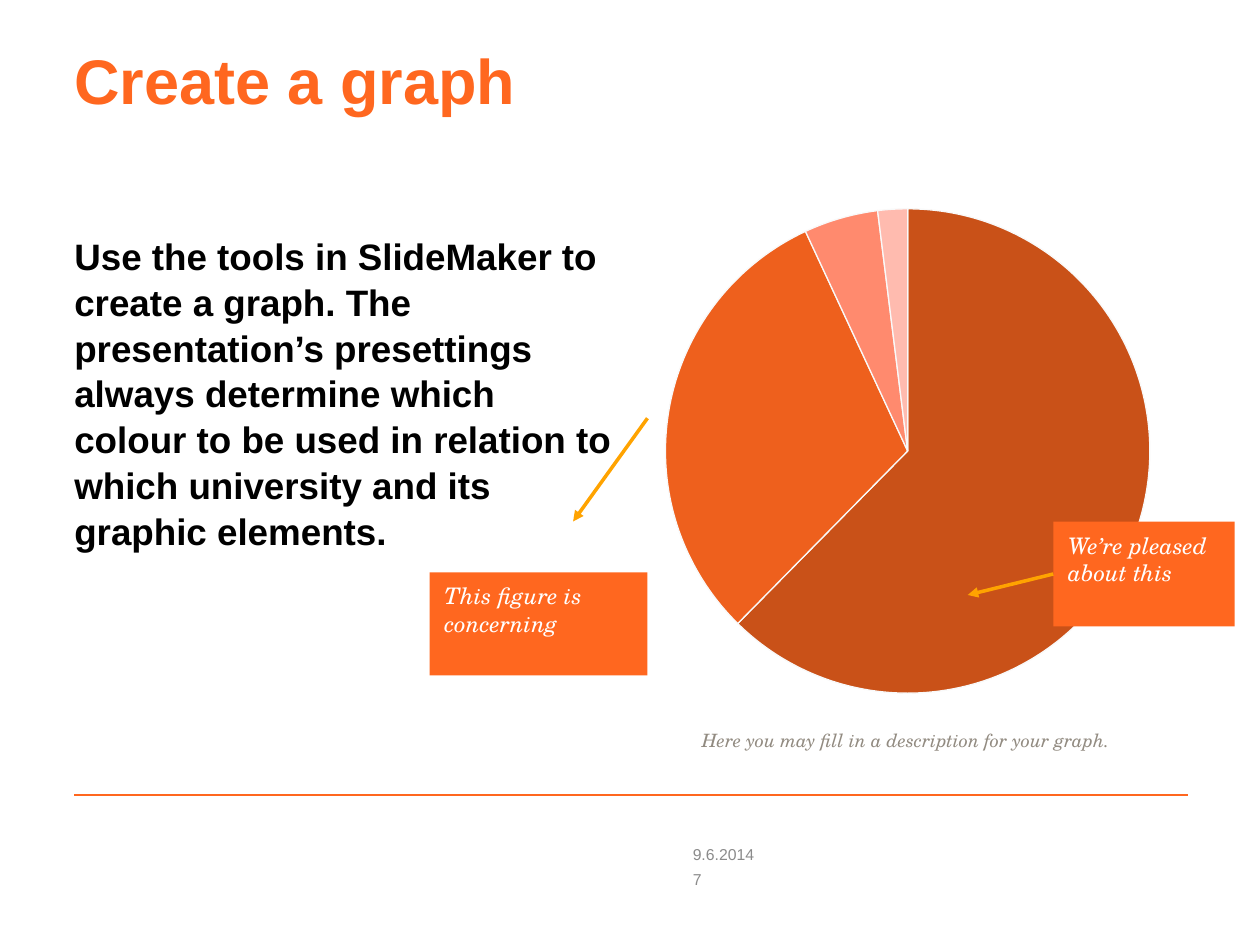
from lxml.etree import SubElement
from pptx import Presentation
from pptx.chart.data import CategoryChartData
from pptx.dml.color import RGBColor
from pptx.enum.chart import XL_CHART_TYPE
from pptx.enum.shapes import MSO_CONNECTOR, MSO_SHAPE
from pptx.enum.text import MSO_ANCHOR, PP_ALIGN
from pptx.oxml import parse_xml
from pptx.oxml.ns import nsdecls, qn
from pptx.util import Pt

ORANGE = RGBColor(0xFF, 0x67, 0x1F)
AMBER = RGBColor(0xFF, 0xA3, 0x00)
BLACK = RGBColor(0x00, 0x00, 0x00)
WHITE = RGBColor(0xFF, 0xFF, 0xFF)
GREY = RGBColor(0x8B, 0x8B, 0x8B)
TAUPE = RGBColor(0x92, 0x8B, 0x81)
SLICE_EDGE = RGBColor(0xF9, 0xF9, 0xF9)
SLICES = [RGBColor(0xC9, 0x51, 0x18), RGBColor(0xEE, 0x60, 0x1D),
          RGBColor(0xFF, 0x8A, 0x6E), RGBColor(0xFF, 0xBB, 0xAF)]
SANS, SERIF = "Arial", "TeX Gyre Schola"

prs = Presentation()
prs.slide_width, prs.slide_height = Pt(720), Pt(540)
s = prs.slides.add_slide(prs.slide_layouts[6])


def set_text(sp, text, font, size, color, bold=False, italic=False, insets=(0, 0, 0, 0)):
    tf = sp.text_frame
    tf.word_wrap = True
    tf.vertical_anchor = MSO_ANCHOR.TOP
    tf.margin_left, tf.margin_top, tf.margin_right, tf.margin_bottom = map(Pt, insets)
    tf.text = text
    p = tf.paragraphs[0]
    p.alignment = PP_ALIGN.LEFT
    f = p.runs[0].font
    f.name, f.size, f.bold, f.italic = font, Pt(size), bold, italic
    f.color.rgb = color
    return p


def add_line(x1, y1, x2, y2, color, width, arrow=False):
    line = s.shapes.add_connector(MSO_CONNECTOR.STRAIGHT, Pt(x1), Pt(y1), Pt(x2), Pt(y2))
    line.line.color.rgb = color
    line.line.width = Pt(width)
    if arrow:
        SubElement(line.line._get_or_add_ln(), qn("a:tailEnd"), type="triangle")
    SubElement(line._element.spPr, qn("a:effectLst"))
    return line


# Footer rule
add_line(42.5, 454.3, 679, 454.3, ORANGE, 1)

# Pie chart
data = CategoryChartData()
data.categories = ["1", "2", "3", "4"]
data.add_series("Series 1", (63, 31, 5, 2))
chart = s.shapes.add_chart(XL_CHART_TYPE.PIE, Pt(361.4), Pt(108.7),
                           Pt(314.6), Pt(298.1), data).chart
chart.has_legend = False
chart.has_title = False
chart.font.name, chart.font.size = SANS, Pt(10)
chart.font.color.rgb = BLACK
plot = chart.plots[0]
plot.vary_by_categories = True
for i, color in enumerate(SLICES):
    fmt = plot.series[0].points[i].format
    fmt.fill.solid()
    fmt.fill.fore_color.rgb = color
    fmt.line.color.rgb = SLICE_EDGE
    fmt.line.width = Pt(0.75)

# Fixed plot area inside the chart frame
plot_area = chart._chartSpace.chart.plotArea
for old in plot_area.findall(qn("c:layout")):
    plot_area.remove(old)
plot_area.insert(0, parse_xml(
    f'<c:layout {nsdecls("c")}><c:manualLayout><c:layoutTarget val="inner"/>'
    '<c:xMode val="edge"/><c:yMode val="edge"/><c:x val="0.06"/><c:y val="0.035"/>'
    '<c:w val="0.88"/><c:h val="0.93"/></c:manualLayout></c:layout>'))

# Title and body
sp = s.shapes.add_textbox(Pt(42.5), Pt(30.2), Pt(636.5), Pt(94.3))
set_text(sp, "Create a graph", SANS, 36, ORANGE, bold=True).line_spacing = 0.85
sp = s.shapes.add_textbox(Pt(42.5), Pt(132.5), Pt(309.6), Pt(301.7))
p = set_text(sp, "Use the tools in SlideMaker to create a graph. The presentation’s "
             "presettings always determine which colour to be used in relation to "
             "which university and its graphic elements.", SANS, 21, BLACK, bold=True)
p.line_spacing = 1.04

# Date and slide number
for text, top, height in (("9.6.2014", 481, 14.4), ("7", 496.1, 13)):
    sp = s.shapes.add_textbox(Pt(388.8), Pt(top), Pt(285.1), Pt(height))
    set_text(sp, text, SANS, 9, GREY, insets=(7.2, 3.6, 0, 3.6))
    sp.text_frame.vertical_anchor = MSO_ANCHOR.MIDDLE

# Callouts
callouts = []
for text, x, y, w, h in (("We’re pleased about this", 601.9, 298, 103.7, 60),
                         ("This figure is concerning", 245.5, 327, 124.5, 59)):
    sp = s.shapes.add_shape(MSO_SHAPE.RECTANGLE, Pt(x), Pt(y), Pt(w), Pt(h))
    sp.shadow.inherit = False
    sp.fill.solid()
    sp.fill.fore_color.rgb = ORANGE
    sp.line.fill.background()
    set_text(sp, text, SERIF, 13, WHITE, italic=True, insets=(8.5, 5.7, 8.5, 5.7))
    callouts.append(sp)

# Callout arrows
arrow = add_line(601.9, 328, 553, 340, AMBER, 2, arrow=True)
arrow.begin_connect(callouts[0], 1)
add_line(370, 239, 327.5, 298, AMBER, 2, arrow=True)

# Chart description
sp = s.shapes.add_textbox(Pt(361.4), Pt(416.9), Pt(312.5), Pt(29.5))
p = set_text(sp, "Here you may fill in a description for your graph.", SERIF, 10.5,
             TAUPE, italic=True)
p.alignment = PP_ALIGN.CENTER

prs.save("out.pptx")
